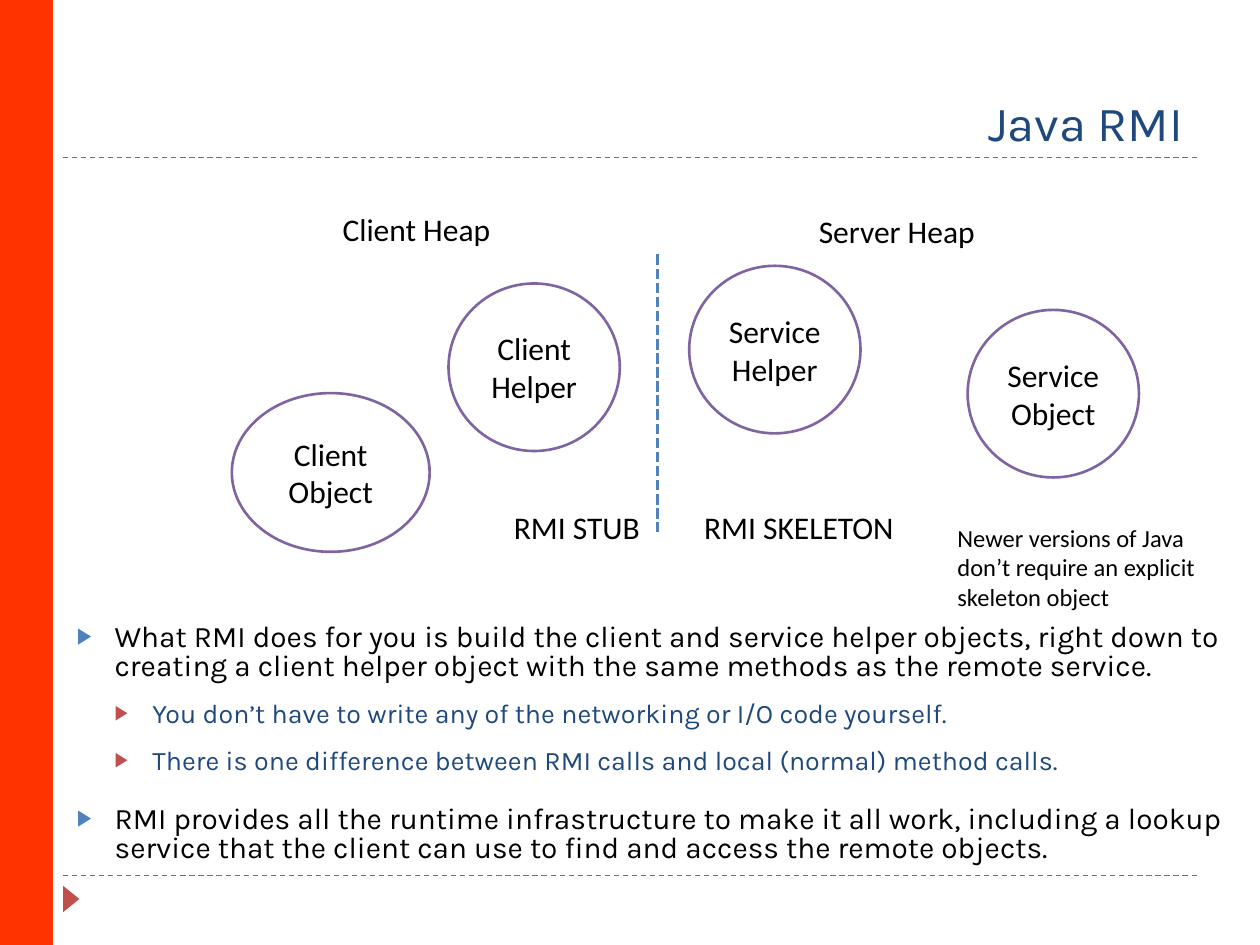
import pptx
import pptx.dml.color
import pptx.enum.dml
import pptx.enum.shapes
import pptx.enum.text
import pptx.oxml.ns
import pptx.util
from lxml import etree

Inches, Pt = pptx.util.Inches, pptx.util.Pt
RGBColor = pptx.dml.color.RGBColor
MSO_SHAPE = pptx.enum.shapes.MSO_SHAPE
DASH = pptx.enum.dml.MSO_LINE
ANCHOR = pptx.enum.text.MSO_ANCHOR
ALIGN = pptx.enum.text.PP_ALIGN
AUTO_SIZE = pptx.enum.text.MSO_AUTO_SIZE
qn = pptx.oxml.ns.qn

BLACK = RGBColor(0x00, 0x00, 0x00)
WHITE = RGBColor(0xFF, 0xFF, 0xFF)
NAVY = RGBColor(0x1F, 0x49, 0x7D)
BLUE = RGBColor(0x4F, 0x81, 0xBD)
RED = RGBColor(0xC0, 0x50, 0x4D)
ORANGE = RGBColor(0xFF, 0x33, 0x00)
PURPLE = RGBColor(0x80, 0x64, 0xA2)


class SlideBuilder:
    heading_font = "Karla"
    label_font = "Calibri"
    # Per list level: text size, text colour, bullet colour, space before
    levels = [(17, BLACK, BLUE, 12), (15.3, NAVY, RED, 6)]
    indent = 0.3

    def __init__(self, slide):
        self.slide = slide

    def run(self, p, text, font, size, color):
        r = p.add_run()
        r.text = text
        r.font.name = font
        r.font.size = Pt(size)
        r.font.color.rgb = color

    def place(self, sp, left, top, width, height):
        sp.left, sp.top = Inches(left), Inches(top)
        sp.width, sp.height = Inches(width), Inches(height)

    def title(self, text, *box):
        sp = self.slide.shapes.title
        self.place(sp, *box)
        tf = sp.text_frame
        tf.auto_size = AUTO_SIZE.NONE
        tf.vertical_anchor = ANCHOR.BOTTOM
        p = tf.paragraphs[0]
        p.alignment = ALIGN.RIGHT
        self.run(p, text, self.heading_font, 28, NAVY)

    def bullet(self, p, level, color):
        pPr = p._p.get_or_add_pPr()
        pPr.set("marL", str(Inches(self.indent * (level + 1))))
        pPr.set("indent", str(Inches(-self.indent)))
        clr = etree.SubElement(pPr, qn("a:buClr"))
        etree.SubElement(clr, qn("a:srgbClr"), val=str(color))
        etree.SubElement(pPr, qn("a:buSzPct"), val="76000")
        etree.SubElement(pPr, qn("a:buChar"), char="▶")

    def body(self, items, *box):
        sp = self.slide.placeholders[1]
        self.place(sp, *box)
        tf = sp.text_frame
        tf.auto_size = AUTO_SIZE.NONE
        for i, (level, text) in enumerate(items):
            size, color, bullet_color, before = self.levels[level]
            p = tf.add_paragraph() if i else tf.paragraphs[0]
            p.level = level
            self.bullet(p, level, bullet_color)
            p.line_spacing = 0.8
            p.space_before = Pt(before if i else 0)
            p.space_after = Pt(6)
            self.run(p, text, self.heading_font, size, color)

    def line(self, x1, y1, x2, y2, color, width, dash):
        cx = self.slide.shapes.add_connector(
            pptx.enum.shapes.MSO_CONNECTOR.STRAIGHT,
            Inches(x1), Inches(y1), Inches(x2), Inches(y2))
        cx.line.color.rgb = color
        cx.line.width = Pt(width)
        cx.line.dash_style = dash
        etree.SubElement(cx._element.spPr, qn("a:effectLst"))

    def shape(self, kind, left, top, width, height, fill, outline=None):
        sp = self.slide.shapes.add_shape(
            kind, Inches(left), Inches(top), Inches(width), Inches(height))
        sp.shadow.inherit = False
        sp.fill.solid()
        sp.fill.fore_color.rgb = fill
        if outline is None:
            sp.line.fill.background()
        else:
            sp.line.color.rgb = outline
            sp.line.width = Pt(1.5)
        return sp

    def node(self, words, *box):
        """Draw an outlined ellipse with one word on each line."""
        sp = self.shape(MSO_SHAPE.OVAL, *box, WHITE, PURPLE)
        tf = sp.text_frame
        tf.vertical_anchor = ANCHOR.MIDDLE
        p = tf.paragraphs[0]
        p.alignment = ALIGN.CENTER
        for i, word in enumerate(words):
            if i:
                p.add_line_break()
            self.run(p, word, self.label_font, 18, BLACK)

    def label(self, text, left, top, width, height=0.4, size=18, wrap=False):
        sp = self.slide.shapes.add_textbox(
            Inches(left), Inches(top), Inches(width), Inches(height))
        tf = sp.text_frame
        tf.word_wrap = wrap
        tf.auto_size = AUTO_SIZE.SHAPE_TO_FIT_TEXT
        self.run(tf.paragraphs[0], text, self.label_font, size, BLACK)


def main():
    prs = pptx.Presentation()
    prs.slide_width, prs.slide_height = Inches(10), Inches(7.5)
    s = SlideBuilder(prs.slides.add_slide(prs.slide_layouts[1]))

    for y in (6.95, 1.25):
        s.line(0.5, y, 9.5, y, RED, 0.75, DASH.DASH)
    marker = s.shape(MSO_SHAPE.ISOSCELES_TRIANGLE, 0.46, 7.07, 0.21, 0.13, RED)
    marker.rotation = 90
    s.shape(MSO_SHAPE.RECTANGLE, 0, 0, 0.42, 7.5, ORANGE)

    s.title("Java RMI", 0.51, 0.17, 8.98, 1.08)
    s.body([
        (0, "What RMI does for you is build the client and service helper "
            "objects, right down to creating a client helper object with the "
            "same methods as the remote service."),
        (1, "You don’t have to write any of the networking or I/O code "
            "yourself."),
        (1, "There is one difference between RMI calls and local (normal) "
            "method calls."),
        (0, "RMI provides all the runtime infrastructure to make it all work, "
            "including a lookup service that the client can use to find and "
            "access the remote objects."),
    ], 0.51, 4.91, 9.37, 2.07)

    s.line(5.22, 2.02, 5.22, 4.22, BLUE, 2, DASH.SQUARE_DOT)
    s.label("Client Heap", 2.62, 1.62, 1.39)
    s.label("Server Heap", 6.4, 1.63, 1.46)
    s.node(("Client", "Helper"), 3.56, 2.25, 1.36, 1.33)
    s.node(("Client", "Object"), 1.84, 3.12, 1.57, 1.26)
    s.node(("Service", "Helper"), 5.47, 2.11, 1.36, 1.33)
    s.node(("Service", "Object"), 7.68, 2.46, 1.36, 1.33)
    s.label("RMI STUB", 3.98, 3.98, 1.21)
    s.label("RMI SKELETON", 5.49, 3.98, 1.72)
    s.label("Newer versions of Java don’t require an explicit skeleton object",
            7.5, 4.1, 2.38, 0.81, size=14, wrap=True)

    prs.save("out.pptx")


if __name__ == "__main__":
    main()
